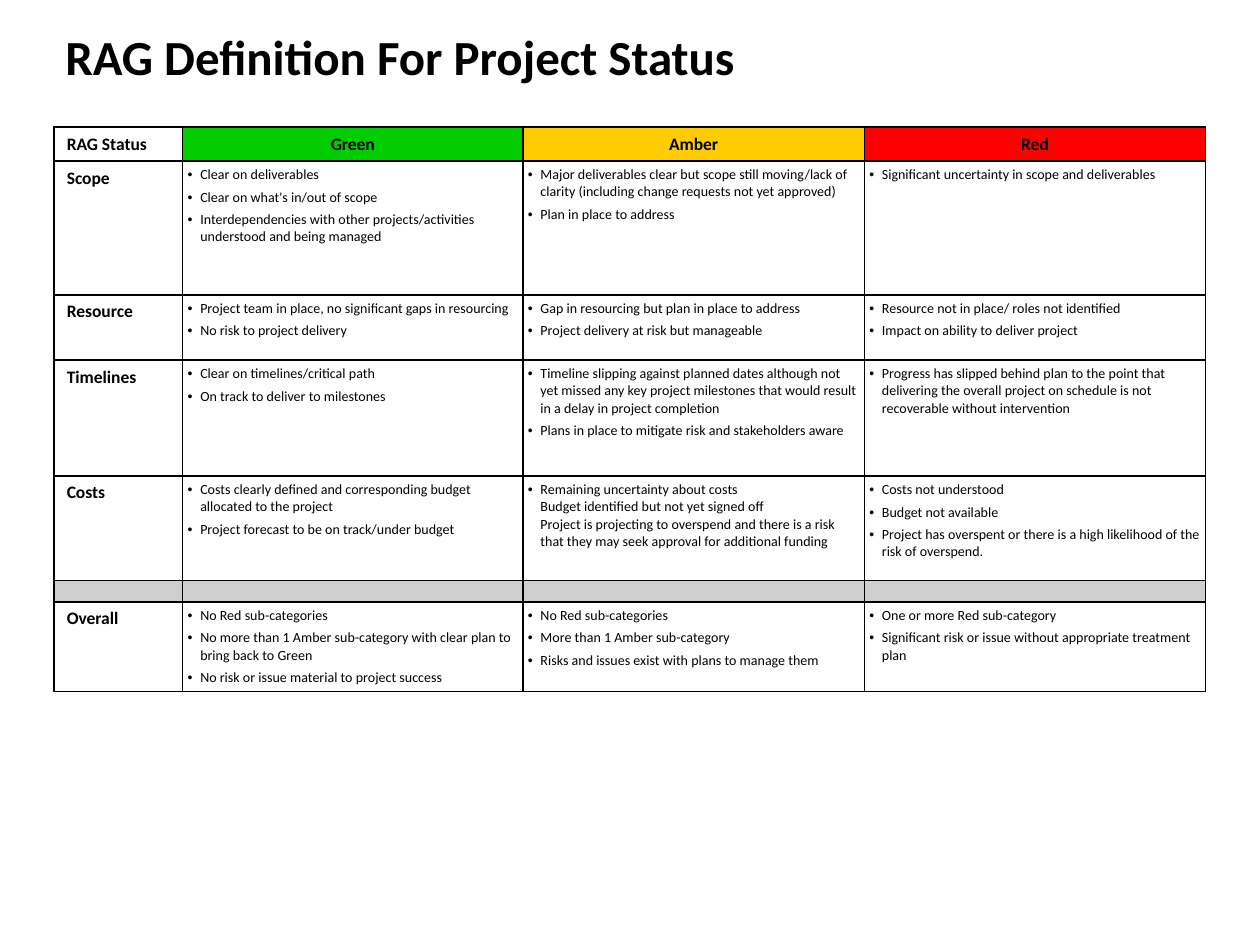
from typing import NamedTuple

from lxml.etree import SubElement
from pptx import Presentation
from pptx.dml.color import RGBColor
from pptx.enum.text import MSO_ANCHOR as Anchor, PP_ALIGN as Align
from pptx.oxml.ns import qn
from pptx.util import Inches, Pt


class Row(NamedTuple):
    name: str
    high: float
    cells: tuple[list[str], ...]


BLACK, GREY = "000000", "D0CECE"
FONT = "Calibri"
HEADS = [("RAG Status", None), ("Green", "00CC00"),
         ("Amber", "FFCC00"), ("Red", "FF0000")]
HEAD_HIGH = 0.27
WIDTHS = [1.02, 2.7, 2.71, 2.71]
ROWS = [
    Row("Scope", 1.06, (
        ["Clear on deliverables", "Clear on what's in/out of scope",
         "Interdependencies with other projects/activities understood and being managed"],
        ["Major deliverables clear but scope still moving/lack of clarity "
         "(including change requests not yet approved)",
         "Plan in place to address"],
        ["Significant uncertainty in scope and deliverables"])),
    Row("Resource", 0.52, (
        ["Project team in place, no significant gaps in resourcing",
         "No risk to project delivery"],
        ["Gap in resourcing but plan in place to address",
         "Project delivery at risk but manageable"],
        ["Resource not in place/ roles not identified",
         "Impact on ability to deliver project"])),
    Row("Timelines", 0.92, (
        ["Clear on timelines/critical path", "On track to deliver to milestones"],
        ["Timeline slipping against planned dates although not yet missed any key "
         "project milestones that would result in a delay in project completion",
         "Plans in place to mitigate risk and stakeholders aware"],
        ["Progress has slipped behind plan to the point that delivering the overall "
         "project on schedule is not recoverable without intervention"])),
    Row("Costs", 0.83, (
        ["Costs clearly defined and corresponding budget allocated to the project",
         "Project forecast to be on track/under budget"],
        ["Remaining uncertainty about costs\vBudget identified but not yet signed off\v"
         "Project is projecting to overspend and there is a risk that they may seek "
         "approval for additional funding"],
        ["Costs not understood", "Budget not available",
         "Project has overspent or there is a high likelihood of the risk of overspend."])),
    Row("", 0.17, ([], [], [])),
    Row("Overall", 0.71, (
        ["No Red sub-categories",
         "No more than 1 Amber sub-category with clear plan to bring back to Green",
         "No risk or issue material to project success"],
        ["No Red sub-categories", "More than 1 Amber sub-category",
         "Risks and issues exist with plans to manage them"],
        ["One or more Red sub-category",
         "Significant risk or issue without appropriate treatment plan"])),
]


def color(code: str) -> RGBColor:
    return RGBColor.from_string(code)


def style(para, size: float, bold: bool) -> None:
    for run in para.runs:
        run.font.size, run.font.bold, run.font.name = Pt(size), bold, FONT
        run.font.color.rgb = color(BLACK)
    for gap in para._p.findall(qn("a:br")):
        SubElement(gap, qn("a:rPr"), sz=str(int(size * 100)))


def add_title(slide, text: str) -> None:
    box = slide.shapes.add_textbox(
        Inches(0.42), Inches(0.02), Inches(9.17), Inches(0.9))
    frame = box.text_frame
    frame.word_wrap = True
    frame.vertical_anchor = Anchor.MIDDLE
    para = frame.paragraphs[0]
    para.text = text
    para.line_spacing = 0.9
    style(para, 28, True)


def dress(cell, side: float, top: float, fill: str | None = None) -> None:
    """Set the margins, black borders and fill of a cell."""
    cell.margin_left = cell.margin_right = Inches(side)
    cell.margin_top = cell.margin_bottom = Inches(top)
    props = cell._tc.get_or_add_tcPr()
    for edge in ("lnL", "lnR", "lnT", "lnB"):
        line = SubElement(props, qn(f"a:{edge}"), w=str(Pt(1)))
        SubElement(SubElement(line, qn("a:solidFill")), qn("a:srgbClr"), val=BLACK)
    if fill:
        cell.fill.solid()
        cell.fill.fore_color.rgb = color(fill)
    else:
        cell.fill.background()


def fill_head(cell, text: str, fill: str | None = None) -> None:
    dress(cell, 0.1, 0.05, fill)
    para = cell.text_frame.paragraphs[0]
    para.text = text
    para.alignment = Align.CENTER if fill else Align.LEFT
    style(para, 10, True)


def fill_list(cell, items: list[str]) -> None:
    dress(cell, 0.04, 0.04)
    frame = cell.text_frame
    for i, item in enumerate(items):
        para = frame.add_paragraph() if i else frame.paragraphs[0]
        para.text = item
        para.space_after = Pt(3)
        props = para._p.get_or_add_pPr()
        props.set("marL", str(Inches(0.1)))
        props.set("indent", str(-Inches(0.1)))
        SubElement(props, qn("a:buFont"), typeface="Arial")
        SubElement(props, qn("a:buChar"), char="•")
        style(para, 8, False)


def fill_gap(cell) -> None:
    dress(cell, 0.04, 0.01, GREY)
    SubElement(cell.text_frame.paragraphs[0]._p, qn("a:endParaRPr"), sz="800")


def add_grid(slide) -> None:
    highs = [HEAD_HIGH] + [row.high for row in ROWS]
    frame = slide.shapes.add_table(
        len(highs), len(WIDTHS), Inches(0.43), Inches(1.01),
        Inches(sum(WIDTHS)), Inches(sum(highs)))
    table = frame.table
    table.first_row = table.horz_banding = False
    for col, wide in zip(table.columns, WIDTHS):
        col.width = Inches(wide)
    for line, high in zip(table.rows, highs):
        line.height = Inches(high)
    for c, (text, fill) in enumerate(HEADS):
        fill_head(table.cell(0, c), text, fill)
    for r, row in enumerate(ROWS, 1):
        if not row.name:
            for cell in table.rows[r].cells:
                fill_gap(cell)
            continue
        fill_head(table.cell(r, 0), row.name)
        for c, items in enumerate(row.cells, 1):
            fill_list(table.cell(r, c), items)


def main() -> None:
    deck = Presentation()
    deck.slide_width, deck.slide_height = Inches(10), Inches(7.5)
    slide = deck.slides.add_slide(deck.slide_layouts[6])
    add_title(slide, "RAG Definition For Project Status")
    add_grid(slide)
    deck.save("out.pptx")


if __name__ == "__main__":
    main()
